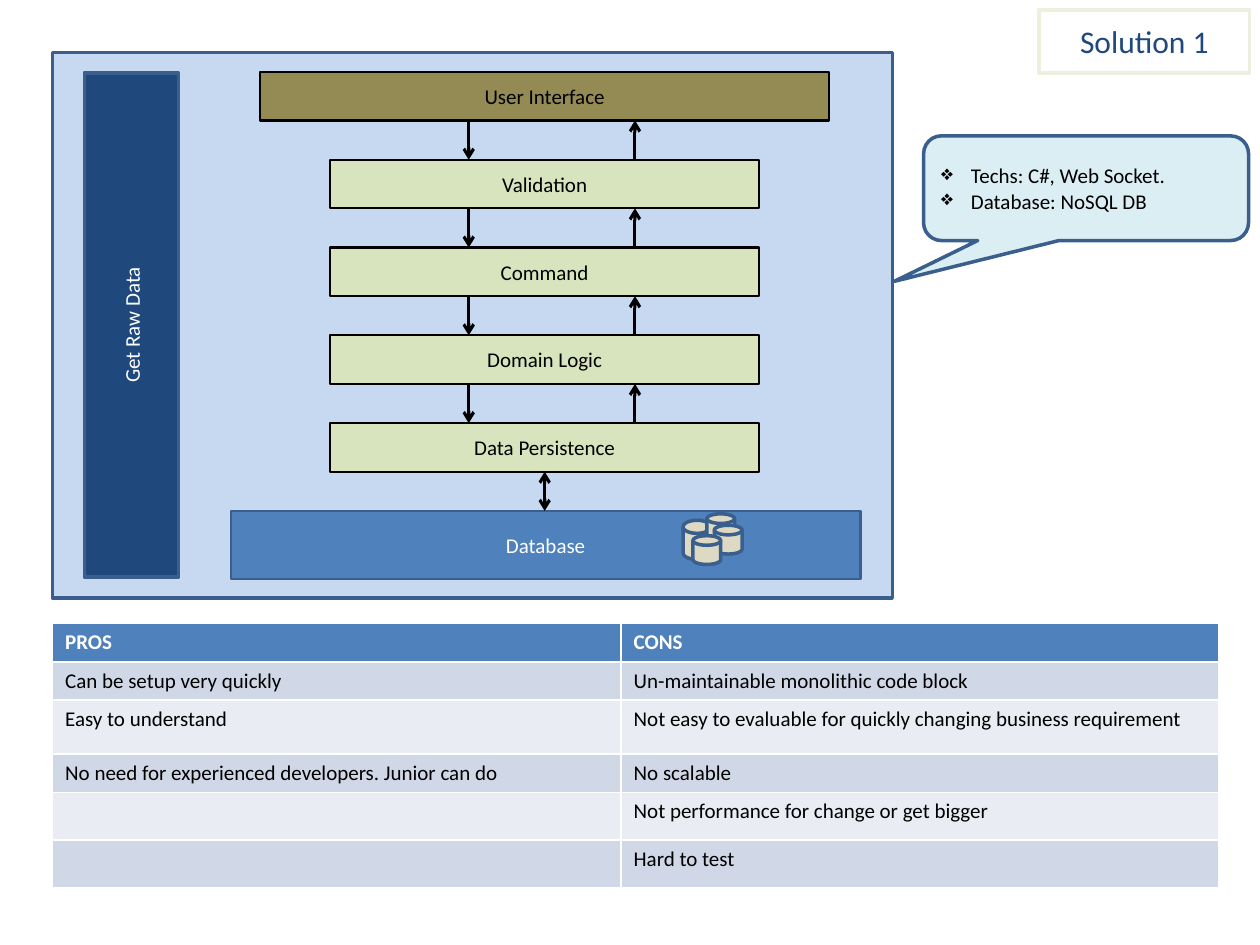
from lxml.etree import SubElement, Element
from pptx import Presentation
from pptx.dml.color import RGBColor as RGB
from pptx.enum.shapes import MSO_CONNECTOR as Link, MSO_SHAPE as Kind
from pptx.enum.text import MSO_ANCHOR as Anchor, PP_ALIGN as Align
from pptx.oxml.ns import qn
from pptx.util import Cm, Pt

# Content
COLORS = {
    "panel": "C6D9F1", "edge": "3A5F8C", "navy": "1F497D", "blue": "4F81BD",
    "olive": "948A54", "green": "D7E4BD", "sand": "DDD9C3", "aqua": "DBEEF4",
    "pale": "EBF1DE", "odd": "D0D8E7", "even": "E9ECF3",
    "black": "000000", "white": "FFFFFF",
}
LAYERS = ["Validation", "Command", "Domain Logic", "Data Persistence"]
NOTES = ["Techs: C#, Web Socket.", "Database: NoSQL DB"]
ROWS = [
    ("PROS", "CONS"),
    ("Can be setup very quickly", "Un-maintainable monolithic code block"),
    ("Easy to understand",
     "Not easy to evaluable for quickly changing business requirement"),
    ("No need for experienced developers. Junior can do", "No scalable"),
    ("", "Not performance for change or get bigger"),
    ("", "Hard to test"),
]

# Layout in centimetres
TOP, STEP, HIGH = 1.45, 1.77, 0.98
DOWN, UP, MID = 9.45, 12.8, 10.98
DISKS = [(13.77, 10.49, 0.79), (14.25, 10.36, 0.58),
         (14.4, 10.59, 0.58), (13.97, 10.8, 0.58)]
WIDTHS = [11.46, 12.04]
HEIGHTS = [0.77, 0.77, 1.09, 0.77, 0.96, 0.96]

deck = Presentation()
deck.slide_width, deck.slide_height = Cm(25.4), Cm(19.05)
slide = deck.slides.add_slide(deck.slide_layouts[6])
shapes = slide.shapes


def color(name):
    return RGB.from_string(COLORS[name])


def style(para, ink, size=12, bold=False):
    font = para.font
    font.name, font.size, font.bold = "Calibri", Pt(size), bold
    font.color.rgb = color(ink)


def box(place, fill, edge="edge", line=2.0, text="", ink="black", size=12,
        kind=Kind.RECTANGLE, align=Align.CENTER):
    shape = shapes.add_shape(kind, *map(Cm, place))
    shape.shadow.inherit = False
    shape.fill.solid()
    shape.fill.fore_color.rgb = color(fill)
    shape.line.color.rgb = color(edge)
    shape.line.width = Pt(line)
    if text:
        frame = shape.text_frame
        frame.text, frame.word_wrap = text, True
        frame.vertical_anchor = Anchor.MIDDLE
        for para in frame.paragraphs:
            para.alignment = align
            style(para, ink, size)
    return shape


def arrow(x, start, end, both=False):
    link = shapes.add_connector(Link.STRAIGHT, Cm(x), Cm(start), Cm(x), Cm(end))
    link.line.color.rgb = color("black")
    link.line.width = Pt(1.75)
    line = link.line._get_or_add_ln()
    for tag in ["a:headEnd", "a:tailEnd"] if both else ["a:tailEnd"]:
        SubElement(line, qn(tag), type="arrow")
    SubElement(link._element.spPr, qn("a:effectLst"))


# Panel and layers
box((1.06, 1.06, 16.93, 11), "panel")
box((5.25, TOP, 11.46, HIGH), "olive", "black", 1.25, "User Interface")
for i, name in enumerate(LAYERS):
    top = TOP + (i + 1) * STEP
    box((6.65, top, 8.66, HIGH), "green", "black", 1.25, name)
    above = top - STEP + HIGH
    arrow(DOWN, above, top)
    arrow(UP, top, above)

# Database
base = TOP + (len(LAYERS) + 1) * STEP
box((4.65, base, 12.7, 1.37), "blue", "edge", 1.25, "Database", "white")
arrow(MID, base - STEP + HIGH, base, both=True)
for x, y, high in DISKS:
    box((x, y, 0.56, high), "sand", kind=Kind.FLOWCHART_MAGNETIC_DISK)

# Raw data bar and title
bar = box((1.7, 1.47, 1.9, 10.16), "navy", text="Get Raw Data", ink="white")
bar.text_frame._txBody.bodyPr.set("vert", "vert270")
box((20.95, 0.2, 4.24, 1.27), "white", "pale", text="Solution 1",
    ink="navy", size=18)

# Callout with bullets
note = box((18.62, 2.74, 6.55, 2.11), "aqua", text="\n".join(NOTES),
           kind=Kind.ROUNDED_RECTANGULAR_CALLOUT, align=Align.LEFT)
for i, value in enumerate([-0.59, 0.89, 0.17]):
    note.adjustments[i] = value
for para in note.text_frame.paragraphs:
    props = para._p.get_or_add_pPr()
    props.set("marL", str(Cm(0.6)))
    props.set("indent", str(-Cm(0.6)))
    mark = Element(qn("a:buChar"), char="❖")
    props.insert(0, mark)

# Pros and cons
table = shapes.add_table(len(ROWS), len(WIDTHS), Cm(1.06), Cm(12.57),
                         Cm(sum(WIDTHS)), Cm(sum(HEIGHTS))).table
for col, wide in zip(table.columns, WIDTHS):
    col.width = Cm(wide)
for r, (row, high) in enumerate(zip(ROWS, HEIGHTS)):
    table.rows[r].height = Cm(high)
    head = r == 0
    fill = "blue" if head else "odd" if r % 2 else "even"
    for c, text in enumerate(row):
        cell = table.cell(r, c)
        cell.fill.solid()
        cell.fill.fore_color.rgb = color(fill)
        cell.text = text
        style(cell.text_frame.paragraphs[0], "white" if head else "black",
              bold=head)

deck.save("out.pptx")
